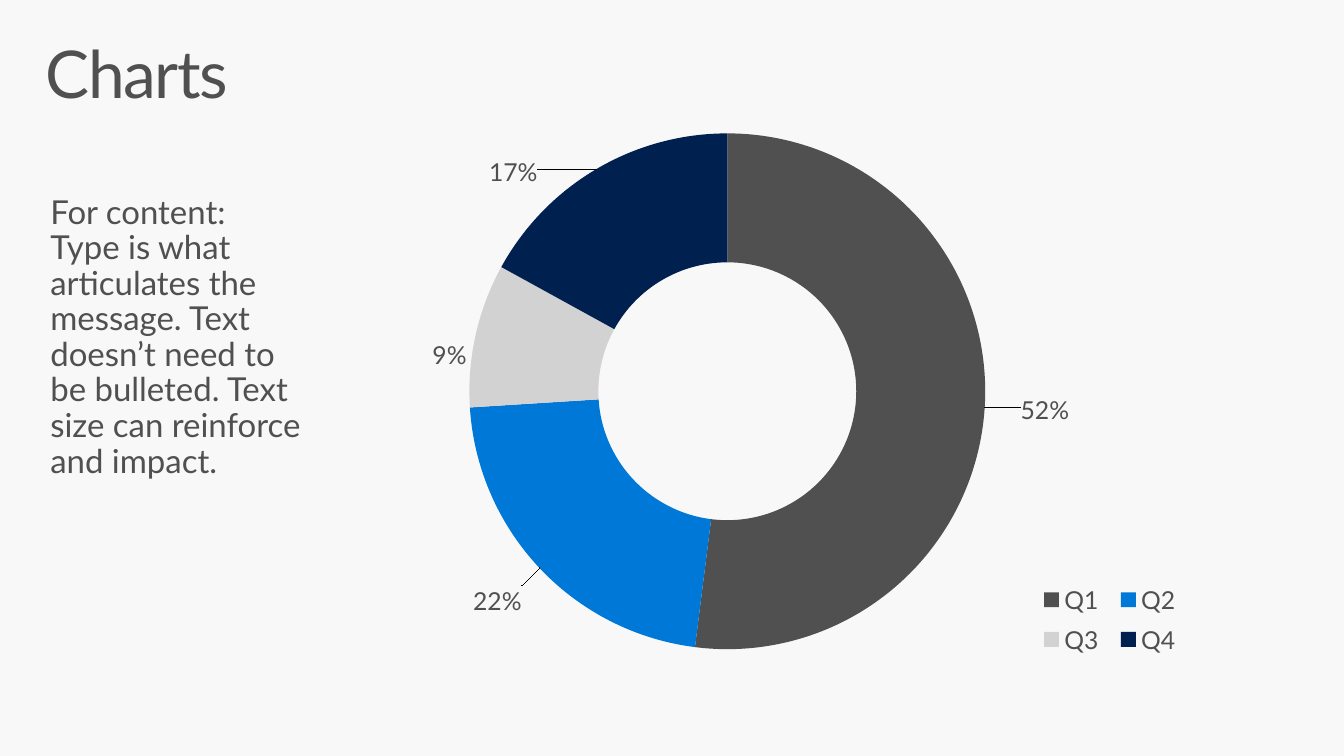
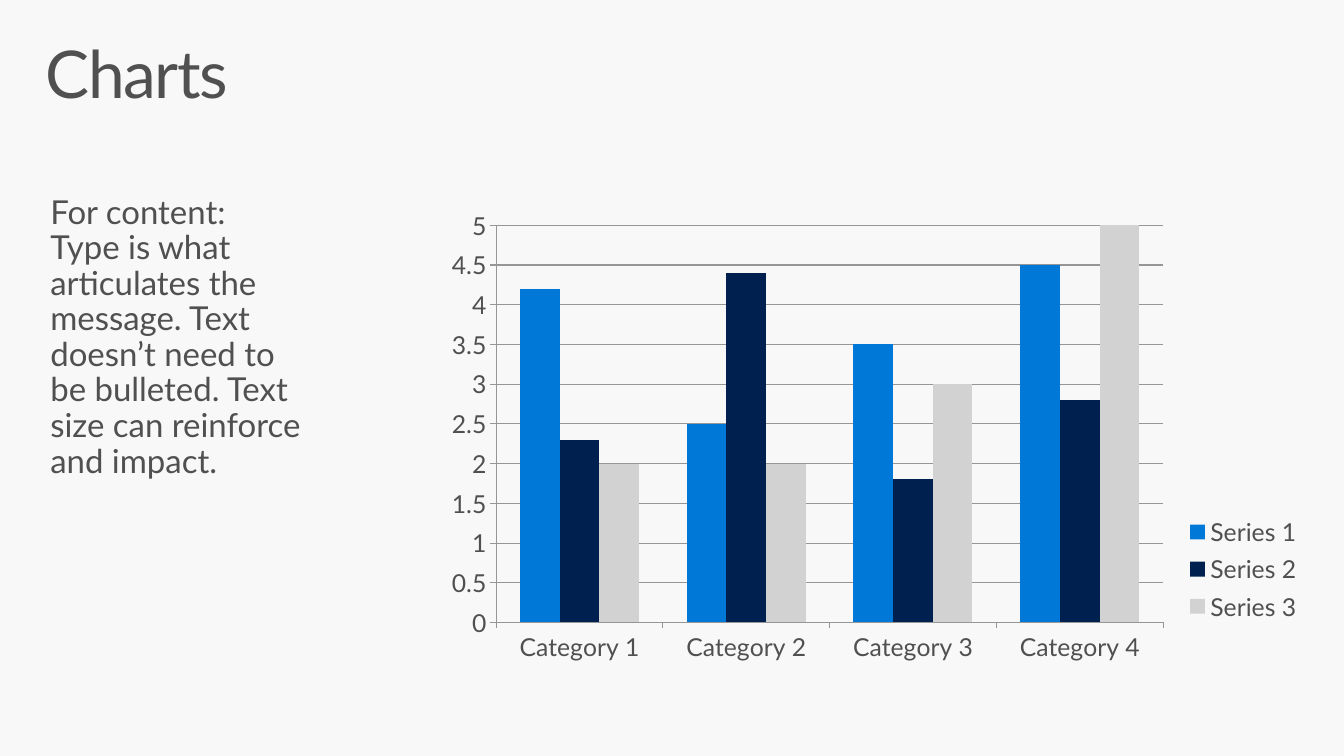
import pptx
import pptx.chart.data
import pptx.dml.color
import pptx.enum.chart
import pptx.enum.text
import pptx.oxml
import pptx.oxml.ns
import pptx.util

Inches, Pt = pptx.util.Inches, pptx.util.Pt
qn = pptx.oxml.ns.qn
XL = pptx.enum.chart.XL_CHART_TYPE

FONT = "Lato"
COLORS = {"background": "F8F8F8", "text": "505050", "blue": "0078D7",
          "navy": "002050", "silver": "D2D2D2", "grid": "969696"}
MESSAGE = ("For content:\vType is what articulates the message. Text doesn’t "
           "need to be bulleted. Text size can reinforce and impact.")


def rgb(name):
    return pptx.dml.color.RGBColor.from_string(COLORS[name])


def set_layout(parent, index, x, y, w=None, h=None, inner=False, edge=True):
    """Place a chart part by fractions of the chart's size."""
    for old in parent.findall(qn("c:layout")):
        parent.remove(old)
    parts = [("layoutTarget", "inner")] if inner else []
    if edge:
        parts += [("xMode", "edge"), ("yMode", "edge")]
    parts += [("x", x), ("y", y)]
    if w is not None:
        parts += [("w", w), ("h", h)]
    tags = "".join(f'<c:{tag} val="{val}"/>' for tag, val in parts)
    parent.insert(index, pptx.oxml.parse_xml(
        f'<c:layout {pptx.oxml.ns.nsdecls("c")}>'
        f'<c:manualLayout>{tags}</c:manualLayout></c:layout>'))


class Deck:
    def __init__(self):
        self.prs = pptx.Presentation()
        self.prs.slide_width = Inches(13.6)
        self.prs.slide_height = Inches(7.65)
        self.s = None

    def style(self, font, size):
        font.name, font.size = FONT, Pt(size)
        font.color.rgb = rgb("text")

    def fill_text(self, sp, text, size, inset_x, inset_y):
        tf = sp.text_frame
        tf.word_wrap = True
        tf.auto_size = pptx.enum.text.MSO_AUTO_SIZE.NONE
        tf.vertical_anchor = pptx.enum.text.MSO_ANCHOR.TOP
        tf.margin_left = tf.margin_right = Inches(inset_x)
        tf.margin_top = tf.margin_bottom = Inches(inset_y)
        p = tf.paragraphs[0]
        p.text = text
        p.alignment = pptx.enum.text.PP_ALIGN.LEFT
        p.line_spacing = 0.9
        for r in p.runs:
            self.style(r.font, size)
        return p

    def slide(self, title):
        self.s = self.prs.slides.add_slide(self.prs.slide_layouts[5])
        fill = self.s.background.fill
        fill.solid()
        fill.fore_color.rgb = rgb("background")
        sp = self.s.shapes.title
        sp.left, sp.top = Inches(0.3), Inches(0.32)
        sp.width, sp.height = Inches(13), Inches(1)
        p = self.fill_text(sp, title, 48, 0.16, 0.1)
        for r in p.runs:
            r.font._element.set("spc", "-100")

    def message(self, text):
        sp = self.s.shapes.add_textbox(Inches(0.31), Inches(1.82), Inches(3), Inches(5.5))
        self.fill_text(sp, text, 24, 0.2, 0.16)

    def chart(self, kind, categories, series, plot_box, legend_box):
        data = pptx.chart.data.CategoryChartData()
        data.categories = categories
        for name, values in series:
            data.add_series(name, values)
        chart = self.s.shapes.add_chart(
            kind, Inches(4.3), Inches(1.32), Inches(9), Inches(6), data).chart
        self.style(chart.font, 18)
        chart.has_title = False
        chart.has_legend = True
        chart.legend.position = pptx.enum.chart.XL_LEGEND_POSITION.RIGHT
        chart.legend.include_in_layout = False
        self.style(chart.legend.font, 18)
        set_layout(next(chart.element.iter(qn("c:plotArea"))), 0, *plot_box, inner=True)
        set_layout(next(chart.element.iter(qn("c:legend"))), 1, *legend_box)
        return chart

    def paint(self, parts, names):
        for part, name in zip(parts, names):
            part.format.fill.solid()
            part.format.fill.fore_color.rgb = rgb(name)

    def doughnut(self, categories, values, names, label_offsets, plot_box, legend_box):
        chart = self.chart(XL.DOUGHNUT, categories, [("Series 1", values)],
                           plot_box, legend_box)
        ser = chart.plots[0].series[0]
        points = [ser.points[i] for i in range(len(values))]
        self.paint(points, names)
        labels = ser.data_labels
        labels.show_percentage, labels.show_value = True, False
        labels.number_format, labels.number_format_is_linked = "0%", False
        self.style(labels.font, 18)
        # Labels moved off the ring
        for point in points:
            self.style(point.data_label.font, 18)
        for label, offset in zip(chart.element.iter(qn("c:dLbl")), label_offsets):
            set_layout(label, 1, *offset, edge=False)
            label.find(qn("c:showVal")).set("val", "0")
            label.find(qn("c:showPercent")).set("val", "1")

    def columns(self, categories, series, names, plot_box, legend_box):
        chart = self.chart(XL.COLUMN_CLUSTERED, categories, series, plot_box, legend_box)
        plot = chart.plots[0]
        plot.gap_width, plot.overlap = 120, 0
        plot.vary_by_categories = False
        self.paint(plot.series, names)
        axis = chart.value_axis
        axis.minimum_scale, axis.maximum_scale, axis.major_unit = 0, 5, 0.5
        axis.has_major_gridlines = True
        for line in (axis.major_gridlines.format.line, axis.format.line,
                     chart.category_axis.format.line):
            line.color.rgb = rgb("grid")
            line.width = Pt(0.75)
        for ax in (axis, chart.category_axis):
            ax.major_tick_mark = pptx.enum.chart.XL_TICK_MARK.OUTSIDE
            self.style(ax.tick_labels.font, 18)


def main():
    deck = Deck()

    # Doughnut chart
    deck.slide("Charts")
    deck.doughnut(
        ["Q1", "Q2", "Q3", "Q4"], [52, 22, 9, 17],
        ["text", "blue", "silver", "navy"],
        label_offsets=[(0.14, 0.01), (-0.1, 0.13), (-0.1, 0.01), (-0.13, -0.09)],
        plot_box=(0.05, 0, 0.58, 0.88), legend_box=(0.68, 0.75, 0.18, 0.15))
    deck.message(MESSAGE)

    # Column chart
    deck.slide("Charts")
    deck.columns(
        [f"Category {i}" for i in range(1, 5)],
        [("Series 1", [4.2, 2.5, 3.5, 4.5]),
         ("Series 2", [2.3, 4.4, 1.8, 2.8]),
         ("Series 3", [2, 2, 3, 5])],
        ["blue", "navy", "silver"],
        plot_box=(0.08, 0.16, 0.75, 0.67), legend_box=(0.85, 0.64, 0.14, 0.2))
    deck.message(MESSAGE)

    deck.prs.save("out.pptx")


if __name__ == "__main__":
    main()
